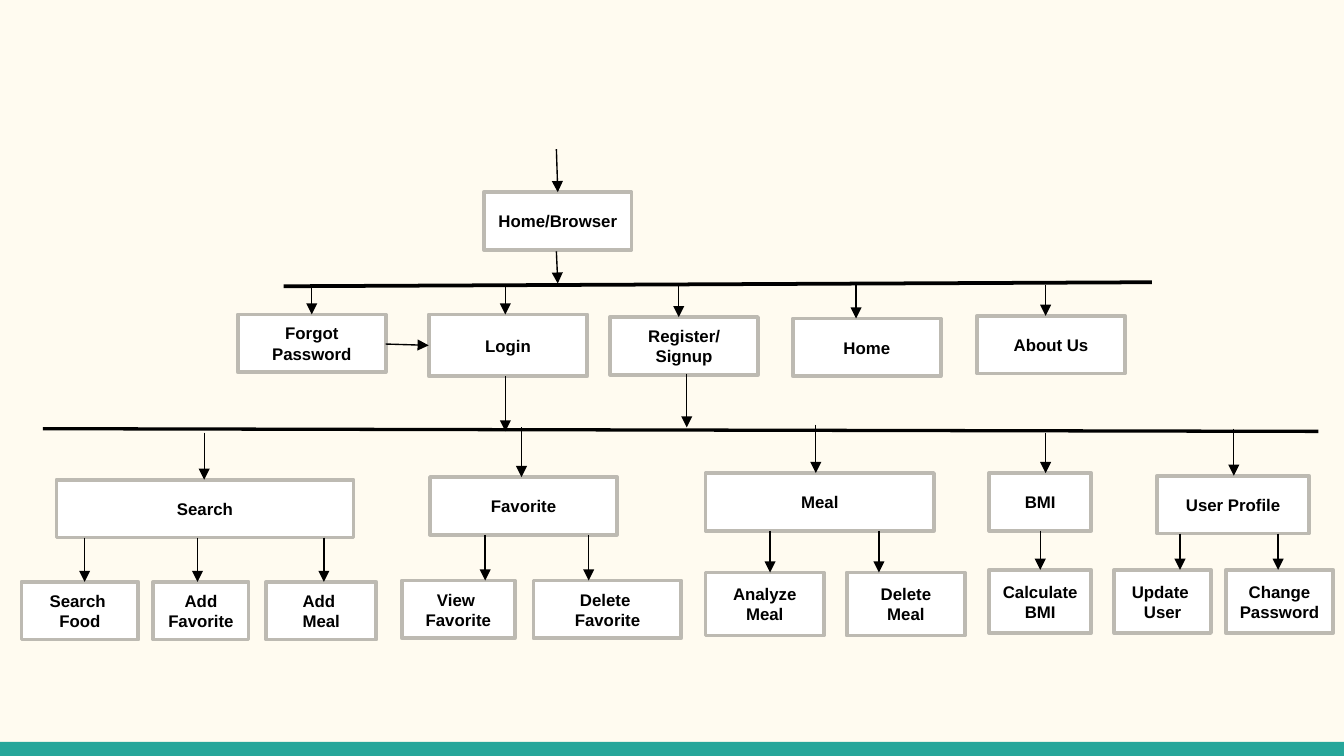
from lxml.etree import SubElement
from pptx import Presentation
from pptx.dml.color import RGBColor as Color
from pptx.enum.shapes import MSO_CONNECTOR as Connector, MSO_SHAPE as Shape
from pptx.enum.text import MSO_ANCHOR as Anchor, PP_ALIGN as Align
from pptx.oxml.ns import qn
from pptx.util import Inches, Pt

WIDTH = 10
HEIGHT = WIDTH * 9 / 16
COLUMNS = 1000
ROWS = COLUMNS * 9 / 16
NODE_ROWS = 43
COLORS = {
    "page": "FFFBF0",
    "band": "26A69A",
    "node": "FFFFFF",
    "border": "BDBAB2",
    "ink": "000000",
}
FONT = {"name": "Arial", "size": Pt(9), "bold": True}
FRAME = {
    "word_wrap": True,
    "vertical_anchor": Anchor.MIDDLE,
    "margin_left": Inches(0.1),
    "margin_right": Inches(0.1),
    "margin_top": 0,
    "margin_bottom": 0,
}

MENU = [
    ("Forgot Password", 0, 24, 110, 43, 55),
    ("Login", 142, 24, 118, 46, 199),
    ("Register/\nSignup", 277, 26, 110, 43, 328),
    ("Home", 413, 27, 110, 43, 460),
    ("About Us", 550, 25, 110, 43, 601),
]
SECTIONS = [
    ((16, 322, 264, 154), "Search", (26, 35, 221), 136, 43,
     [("Search \nFood", 0, 87, 47), ("Add Favorite", 98, 71, 131), ("Add \nMeal", 182, 82, 225)]),
    ((299, 318, 208, 157), "Favorite", (21, 37, 139), 89, 43,
     [("View \nFavorite", 0, 84, 62), ("Delete \nFavorite", 98, 110, 139)]),
    ((525, 316, 193, 157), "Meal", (0, 36, 170), 82, 47,
     [("Analyze Meal", 0, 88, 48), ("Delete Meal", 105, 88, 129)]),
    ((736, 322, 76, 149), "BMI", (0, 30, 76), 42, 47,
     [("Calculate\nBMI", 0, 76, 38)]),
    ((829, 319, 163, 152), "User Profile", (32, 35, 113), 89, 47,
     [("Update \nUser", 0, 72, 49), ("Change Password", 83, 80, 122)]),
]


def across(columns):
    """Turn grid columns into a length."""
    return Inches(WIDTH * columns / COLUMNS)


def down(rows):
    """Turn grid rows into a length."""
    return Inches(HEIGHT * rows / ROWS)


def paint(item, name):
    """Give a fill its solid colour."""
    item.solid()
    item.fore_color.rgb = Color.from_string(COLORS[name])


def set_all(target, values):
    """Set each attribute from a dict of format values."""
    for name, value in values.items():
        setattr(target, name, value)


def draw_rectangle(page, box, fill):
    """Draw a plain rectangle in the grid box."""
    left, top, width, height = box
    shape = page.shapes.add_shape(
        Shape.RECTANGLE, across(left), down(top), across(width), down(height)
    )
    shape.shadow.inherit = False
    paint(shape.fill, fill)
    shape.line.fill.background()
    return shape


def draw_node(page, box, text):
    """Draw a bordered node with centred bold text."""
    shape = draw_rectangle(page, box, "node")
    paint(shape.line.fill, "border")
    shape.line.width = Pt(2)
    frame = shape.text_frame
    set_all(frame, FRAME)
    frame.text = text
    for para in frame.paragraphs:
        para.alignment = Align.CENTER
        for span in para.runs:
            set_all(span.font, FONT)
            paint(span.font.fill, "ink")


def draw_line(page, start, end, weight=0.75, arrow=True):
    """Draw a straight line between two grid points."""
    line = page.shapes.add_connector(
        Connector.STRAIGHT, across(start[0]), down(start[1]), across(end[0]), down(end[1])
    )
    paint(line.line.fill, "ink")
    line.line.width = Pt(weight)
    properties = line._element.spPr
    if arrow:
        SubElement(properties.find(qn("a:ln")), qn("a:tailEnd"), type="triangle")
    SubElement(properties, qn("a:effectLst"))


def draw_entry(page, box):
    """Draw the home node with the arrows into and out of it."""
    left, top, width, height = box
    draw_node(page, (left, top + 32, width, NODE_ROWS), "Home/Browser")
    for start, end in ((0, 32), (76, height)):
        draw_line(page, (left + 54, top + start), (left + 55, top + end))


def draw_menu(page, box):
    """Draw the main menu under its rail and the arrows leaving it."""
    left, top, width, height = box
    draw_line(page, (left + 34, top + 3), (left + width, top), 2, False)
    for text, x, y, node_width, node_height, arrow_x in MENU:
        draw_node(page, (left + x, top + y, node_width, node_height), text)
        draw_line(page, (left + arrow_x, top + 2), (left + arrow_x, top + y))
    draw_line(page, (left + 110, top + 46), (left + 142, top + 47))
    for x, start, end in ((199, 70, height), (334, 68, height - 3)):
        draw_line(page, (left + x, top + start), (left + x, top + end))


def draw_section(page, box, title, head, head_arrow, child_height, children):
    """Draw a section head and its children along the box bottom."""
    left, top, width, height = box
    x, y, head_width = head
    draw_node(page, (left + x, top + y, head_width, NODE_ROWS), title)
    draw_line(page, (left + head_arrow, top), (left + head_arrow, top + y))
    child_top = top + height - child_height
    for text, child_x, child_width, arrow_x in children:
        draw_node(page, (left + child_x, child_top, child_width, child_height), text)
        draw_line(page, (left + arrow_x, top + y + NODE_ROWS), (left + arrow_x, child_top))


def main():
    """Build the site map slide and save the deck."""
    deck = Presentation()
    set_all(deck, {"slide_width": Inches(WIDTH), "slide_height": Inches(HEIGHT)})
    page = deck.slides.add_slide(deck.slide_layouts[6])
    paint(page.background.fill, "page")
    draw_rectangle(page, (0, 552, COLUMNS, ROWS - 552), "band")
    draw_entry(page, (360, 111, 110, 100))
    draw_menu(page, (177, 210, 680, 111))
    draw_line(page, (32, 319), (981, 321), 1.75, False)
    for section in SECTIONS:
        draw_section(page, *section)
    deck.save("out.pptx")


if __name__ == "__main__":
    main()
